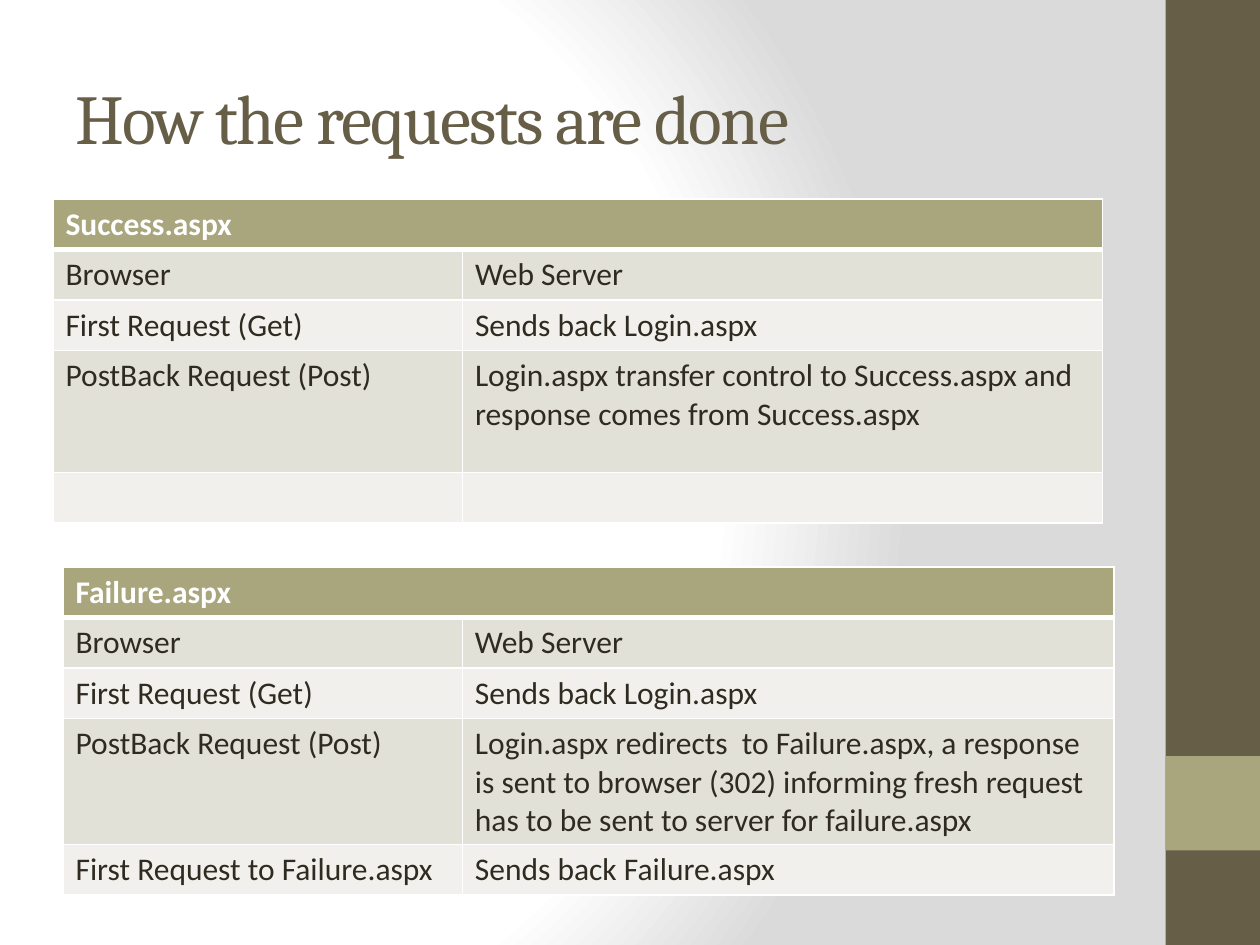
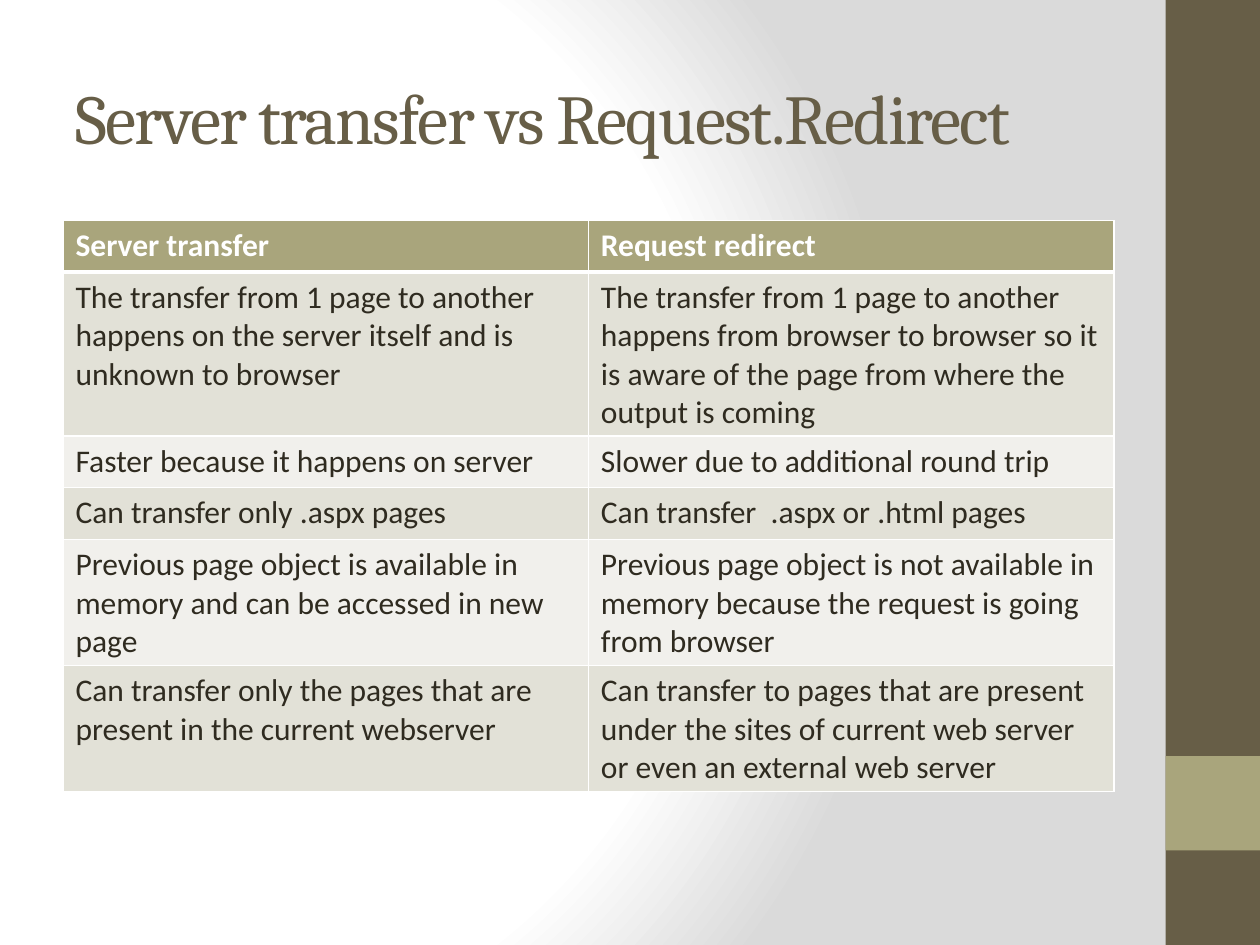
from pptx import Presentation
from pptx.dml.color import RGBColor
from pptx.enum.shapes import MSO_SHAPE
from pptx.enum.text import MSO_ANCHOR
from pptx.oxml import parse_xml
from pptx.oxml.ns import nsdecls, qn
from pptx.util import Inches, Pt

RECTANGLE = MSO_SHAPE.RECTANGLE
MIDDLE = MSO_ANCHOR.MIDDLE

# Content: each table has its place, column widths, row heights and rows
SLIDES = [
    {
        "title": "How the requests are done",
        "tables": [
            {
                "left": 0.42, "top": 1.58, "columns": [3.25, 5.08],
                "heights": [0.39, 0.39, 0.39, 0.97, 0.39],
                "rows": [
                    ["Success.aspx"],
                    ["Browser", "Web Server"],
                    ["First Request (Get)", "Sends back Login.aspx"],
                    ["PostBack Request (Post)",
                     "Login.aspx transfer control to Success.aspx and  response comes from Success.aspx"],
                    ["", ""],
                ],
            },
            {
                "left": 0.5, "top": 4.5, "columns": [3.17, 5.17],
                "heights": [0.39, 0.39, 0.39, 0.97, 0.39],
                "rows": [
                    ["Failure.aspx"],
                    ["Browser", "Web Server"],
                    ["First Request (Get)", "Sends back Login.aspx"],
                    ["PostBack Request (Post)",
                     "Login.aspx redirects  to Failure.aspx, a response is sent to browser (302) "
                     "informing fresh request has to be sent to server for failure.aspx"],
                    ["First Request to Failure.aspx", "Sends back Failure.aspx"],
                ],
            },
        ],
    },
    {
        "title": "Server transfer vs Request.Redirect",
        "tables": [
            {
                "left": 0.5, "top": 1.75, "columns": [4.17, 4.17],
                "heights": [0.41] * 6,
                "rows": [
                    ["Server transfer", "Request redirect"],
                    ["The transfer from 1 page to another happens on the server itself and is unknown to browser",
                     "The transfer from 1 page to another happens from browser to browser so it is aware "
                     "of the page from where the output is coming"],
                    ["Faster because it happens on server", "Slower due to additional round trip"],
                    ["Can transfer only .aspx pages", "Can transfer  .aspx or .html pages"],
                    ["Previous page object is available in memory and can be accessed in new page",
                     "Previous page object is not available in memory because the request is going from browser"],
                    ["Can transfer only the pages that are present in the current webserver",
                     "Can transfer to pages that are present under the sites of current web server "
                     "or even an external web server"],
                ],
            },
        ],
    },
]

# Shared look
WIDTH, HEIGHT = 10, 7.5
BAND_WIDTH = 0.75
BROWN = RGBColor(0x67, 0x5E, 0x47)
OLIVE = RGBColor(0xA9, 0xA5, 0x7C)
INK = RGBColor(0x2F, 0x2B, 0x20)
WHITE = RGBColor(0xFF, 0xFF, 0xFF)
GREY = RGBColor(0xDA, 0xDA, 0xDA)
ROW_FILLS = [RGBColor(0xE2, 0xE1, 0xD7), RGBColor(0xF1, 0xF0, 0xEC)]
TITLE_FONT, BODY_FONT = "Cambria", "Calibri"
THIN, THICK = 1, 3


def set_background(master):
    """Give every slide the radial white-to-grey background."""
    common = master.element.find(qn("p:cSld"))
    for background in common.findall(qn("p:bg")):
        common.remove(background)
    stops = "".join(
        f'<a:gs pos="{share * 1000}"><a:srgbClr val="{color}"/></a:gs>'
        for share, color in [(0, WHITE), (75, WHITE), (100, GREY)])
    common.insert(0, parse_xml(
        f'<p:bg {nsdecls("p", "a")}><p:bgPr><a:gradFill rotWithShape="1">'
        f'<a:gsLst>{stops}</a:gsLst><a:path path="circle">'
        '<a:fillToRect l="20000" t="50000" r="100000" b="50000"/></a:path>'
        '</a:gradFill><a:effectLst/></p:bgPr></p:bg>'))


def format_run(run, font_name, size, color, bold=False):
    run.font.name = font_name
    run.font.size = Pt(size)
    run.font.color.rgb = color
    run.font.bold = bold


def add_band(slide, top, height, color):
    band = slide.shapes.add_shape(
        RECTANGLE, Inches(WIDTH - BAND_WIDTH), Inches(top), Inches(BAND_WIDTH), Inches(height))
    band.shadow.inherit = False
    band.fill.solid()
    band.fill.fore_color.rgb = color
    band.line.fill.background()


def add_title(slide, text):
    box = slide.shapes.add_textbox(Inches(0.5), Inches(0.3), Inches(8.33), Inches(1.25))
    frame = box.text_frame
    frame.word_wrap = True
    frame.vertical_anchor = MIDDLE
    frame.text = text
    run = frame.paragraphs[0].runs[0]
    format_run(run, TITLE_FONT, 40, BROWN)
    run.font._element.set("spc", "-100")


def set_borders(cell, top, bottom):
    properties = cell._tc.get_or_add_tcPr()
    for side, width in [("L", THIN), ("R", THIN), ("T", top), ("B", bottom)]:
        properties.append(parse_xml(
            f'<a:ln{side} {nsdecls("a")} w="{Pt(width)}"><a:solidFill>'
            f'<a:srgbClr val="{WHITE}"/></a:solidFill></a:ln{side}>'))


def add_table(slide, left, top, columns, heights, rows):
    table = slide.shapes.add_table(
        len(rows), len(columns), Inches(left), Inches(top),
        Inches(sum(columns)), Inches(sum(heights))).table
    for column, width in zip(table.columns, columns):
        column.width = Inches(width)
    for row, height in zip(table.rows, heights):
        row.height = Inches(height)

    for row_index, texts in enumerate(rows):
        is_header = row_index == 0
        fill = OLIVE if is_header else ROW_FILLS[(row_index - 1) % 2]
        for cell in table.rows[row_index].cells:
            set_borders(cell, THICK if row_index == 1 else THIN, THICK if is_header else THIN)
            cell.fill.solid()
            cell.fill.fore_color.rgb = fill
        for column_index, text in enumerate(texts):
            cell = table.cell(row_index, column_index)
            cell.text_frame.text = text
            for run in cell.text_frame.paragraphs[0].runs:
                format_run(run, BODY_FONT, 18, WHITE if is_header else INK, is_header)
        # A single text spans the whole row
        if len(texts) == 1:
            table.cell(row_index, 0).merge(table.cell(row_index, len(columns) - 1))


def main():
    presentation = Presentation()
    presentation.slide_width = Inches(WIDTH)
    presentation.slide_height = Inches(HEIGHT)
    set_background(presentation.slide_master)
    blank = presentation.slide_layouts[6]
    for content in SLIDES:
        slide = presentation.slides.add_slide(blank)
        add_band(slide, 0, HEIGHT, BROWN)
        add_band(slide, HEIGHT * 0.8, BAND_WIDTH, OLIVE)
        add_title(slide, content["title"])
        for table in content["tables"]:
            add_table(slide, **table)
    presentation.save("out.pptx")


if __name__ == "__main__":
    main()
